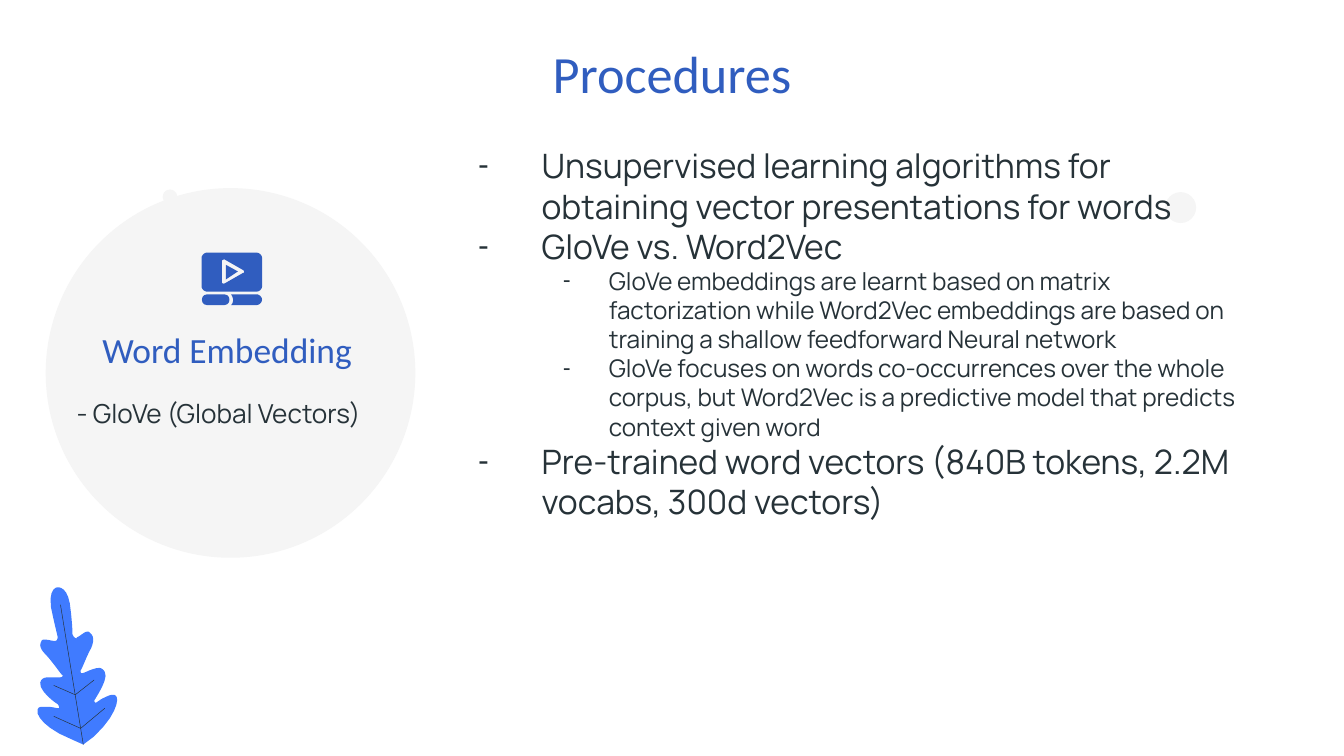
from lxml.etree import SubElement
from pptx import Presentation
from pptx.dml.color import RGBColor
from pptx.enum.shapes import MSO_CONNECTOR, MSO_SHAPE
from pptx.enum.text import MSO_ANCHOR, MSO_AUTO_SIZE, PP_ALIGN
from pptx.oxml.ns import qn
from pptx.util import Inches, Pt

THEME = {
    "heading_font": "Calibri", "body_font": "Manrope", "bullet_font": "Calibri",
    "blue": "305DBF", "leaf": "407BFF", "dark": "263238", "pale": "F5F5F5",
    "title": 28, "heading": 19, "large": 18, "note": 14, "small": 13, "vein": 0.25,
}

TITLE = "Procedures"
HEADING = "Word Embedding"
NOTE = "- GloVe (Global Vectors)"
POINTS = [
    (0, "Unsupervised learning algorithms for obtaining vector presentations for words"),
    (0, "GloVe vs. Word2Vec"),
    (1, "GloVe embeddings are learnt based on matrix factorization while Word2Vec "
        "embeddings are based on training a shallow feedforward Neural network"),
    (1, "GloVe focuses on words co-occurrences over the whole corpus, but Word2Vec "
        "is a predictive model that predicts context given word"),
    (0, "Pre-trained word vectors (840B tokens, 2.2M vocabs, 300d vectors)"),
]
LEVELS = [  # size, left margin, first-line indent
    (THEME["large"], 0.5, -0.47),
    (THEME["small"], 1, -0.34),
]

# left, top, diameter
CIRCLES = [(0.34, 1.4, 2.75), (8.67, 1.43, 0.23), (1.21, 1.41, 0.11)]

# A contour is a start point, then lines (x, y) and curves (x1, y1, x2, y2, x, y).
PROGRESS_DONE = [(1.54, 2.19), (1.49, 2.19, 1.49, 2.27, 1.54, 2.27), (1.67, 2.27),
                 (1.72, 2.27, 1.72, 2.19, 1.67, 2.19)]
PROGRESS_LEFT = [(1.72, 2.19), (1.74, 2.22, 1.74, 2.25, 1.72, 2.27), (1.91, 2.27),
                 (1.93, 2.27, 1.95, 2.25, 1.95, 2.23), (1.95, 2.21, 1.93, 2.19, 1.91, 2.19)]
PLAY = [(1.68, 1.97), (1.68, 2.08), (1.77, 2.02)]
PLAY_HOLE = [(1.67, 1.93), (1.81, 2.01), (1.82, 2.02, 1.82, 2.03, 1.81, 2.03), (1.67, 2.11),
             (1.66, 2.11, 1.65, 2.11, 1.65, 2.1), (1.65, 1.94),
             (1.65, 1.94, 1.66, 1.93, 1.67, 1.93)]
SCREEN = [(1.54, 1.88), (1.52, 1.88, 1.5, 1.9, 1.5, 1.92), (1.5, 2.13),
          (1.5, 2.15, 1.52, 2.17, 1.54, 2.17), (1.91, 2.17),
          (1.93, 2.17, 1.95, 2.15, 1.95, 2.13), (1.95, 1.92),
          (1.95, 1.9, 1.93, 1.88, 1.91, 1.88)]
LEAF = [
    (0.43, 4.37), (0.45, 4.37, 0.5, 4.38, 0.52, 4.49), (0.54, 4.64, 0.54, 4.72, 0.54, 4.72),
    (0.54, 4.72, 0.55, 4.75, 0.57, 4.75), (0.57, 4.75, 0.57, 4.74, 0.58, 4.74),
    (0.6, 4.73, 0.63, 4.7, 0.65, 4.7), (0.66, 4.7, 0.66, 4.7, 0.67, 4.71),
    (0.7, 4.73, 0.7, 4.77, 0.68, 4.82), (0.65, 4.87, 0.61, 4.98, 0.6, 4.99),
    (0.6, 5, 0.6, 5.01, 0.61, 5.01), (0.63, 5.01, 0.69, 4.97, 0.74, 4.97),
    (0.75, 4.97, 0.77, 4.98, 0.78, 5), (0.81, 5.05, 0.72, 5.18, 0.71, 5.2),
    (0.7, 5.21, 0.7, 5.22, 0.71, 5.23), (0.72, 5.23, 0.75, 5.2, 0.78, 5.19),
    (0.8, 5.18, 0.82, 5.17, 0.84, 5.17), (0.85, 5.17, 0.86, 5.17, 0.87, 5.19),
    (0.88, 5.22, 0.86, 5.33, 0.7, 5.48), (0.62, 5.54), (0.53, 5.5),
    (0.33, 5.42, 0.27, 5.32, 0.28, 5.29), (0.28, 5.26, 0.3, 5.26, 0.32, 5.26),
    (0.33, 5.26, 0.35, 5.26, 0.36, 5.26), (0.39, 5.26, 0.42, 5.27, 0.43, 5.27),
    (0.44, 5.27, 0.44, 5.27, 0.44, 5.27), (0.44, 5.26, 0.44, 5.25, 0.43, 5.24),
    (0.41, 5.23, 0.29, 5.14, 0.3, 5.08), (0.31, 5.04, 0.34, 5.04, 0.38, 5.04),
    (0.41, 5.04, 0.44, 5.04, 0.45, 5.04), (0.47, 5.04, 0.47, 5.02, 0.46, 5.02),
    (0.45, 5.01, 0.38, 4.91, 0.34, 4.87), (0.3, 4.83, 0.29, 4.8, 0.31, 4.77),
    (0.31, 4.76, 0.32, 4.76, 0.34, 4.76), (0.36, 4.76, 0.39, 4.77, 0.41, 4.77),
    (0.43, 4.77, 0.43, 4.74, 0.43, 4.74), (0.43, 4.74, 0.41, 4.66, 0.38, 4.52),
    (0.36, 4.37, 0.43, 4.37, 0.43, 4.37),
]
VEINS = [  # from, to
    ((0.45, 4.5), (0.62, 5.54)),
    ((0.7, 5.06), (0.56, 5.17)), ((0.4, 5.1), (0.56, 5.17)),
    ((0.78, 5.27), (0.6, 5.42)), ((0.4, 5.33), (0.6, 5.42)),
]
CURVE_STEPS = 6


def paint(shape, color):
    shape.shadow.inherit = False
    shape.fill.solid()
    shape.fill.fore_color.rgb = RGBColor.from_string(color)
    shape.line.fill.background()


def add_circle(shapes, left, top, diameter):
    circle = shapes.add_shape(MSO_SHAPE.OVAL, *map(Inches, (left, top, diameter, diameter)))
    paint(circle, THEME["pale"])
    return circle


def flatten(contour):
    """Turn lines and Bézier curves into a list of points in EMU."""
    points = [contour[0]]
    for segment in contour[1:]:
        if len(segment) == 2:
            points.append(segment)
            continue
        start, first, second, end = points[-1], segment[:2], segment[2:4], segment[4:]
        for step in range(1, CURVE_STEPS + 1):
            t = step / CURVE_STEPS
            u = 1 - t
            points.append(tuple(
                u**3 * a + 3 * u * u * t * b + 3 * u * t * t * c + t**3 * d
                for a, b, c, d in zip(start, first, second, end)))
    return [(Inches(x), Inches(y)) for x, y in points]


def add_outline(shapes, color, *contours):
    outlines = [flatten(contour) for contour in contours]
    builder = shapes.build_freeform(*outlines[0][0], scale=1.0)
    for number, points in enumerate(outlines):
        if number:
            builder.move_to(*points[0])
        builder.add_line_segments(points[1:], close=True)
    paint(builder.convert_to_shape(), color)


def add_vein(shapes, start, end):
    vein = shapes.add_connector(MSO_CONNECTOR.STRAIGHT, *map(Inches, start + end))
    vein.line.color.rgb = RGBColor.from_string(THEME["dark"])
    vein.line.width = Pt(THEME["vein"])
    SubElement(vein._element.spPr, qn("a:effectLst"))


def place(placeholder, left, top, width, height):
    placeholder.left, placeholder.top = Inches(left), Inches(top)
    placeholder.width, placeholder.height = Inches(width), Inches(height)
    frame = placeholder.text_frame
    frame.word_wrap = True
    frame.auto_size = MSO_AUTO_SIZE.NONE
    frame.vertical_anchor = MSO_ANCHOR.TOP
    frame.margin_left = frame.margin_right = Inches(0.1)
    frame.margin_top = frame.margin_bottom = Inches(0.1)
    return frame


def write(paragraph, text, *, size, font=THEME["body_font"], color=THEME["dark"],
          align=PP_ALIGN.LEFT, level=0, margin=0, indent=0, bullet=None):
    run = paragraph.add_run()
    run.text = text
    run.font.name = font
    run.font.size = Pt(size)
    run.font.bold = False
    run.font.color.rgb = RGBColor.from_string(color)
    paragraph.alignment = align
    paragraph.level = level
    paragraph.space_before = paragraph.space_after = Pt(0)
    paragraph.line_spacing = 1.0
    properties = paragraph._p.get_or_add_pPr()
    properties.set("marL", str(Inches(margin)))
    properties.set("indent", str(Inches(indent)))
    if bullet:
        bullet_color = SubElement(properties, qn("a:buClr"))
        SubElement(bullet_color, qn("a:srgbClr"), val=color)
        SubElement(properties, qn("a:buFont"), typeface=THEME["bullet_font"])
        SubElement(properties, qn("a:buChar"), char=bullet)
    else:
        SubElement(properties, qn("a:buNone"))


def main():
    presentation = Presentation()
    presentation.slide_width = Inches(10)
    presentation.slide_height = presentation.slide_width * 9 // 16
    slide = presentation.slides.add_slide(presentation.slide_layouts.get_by_name("Comparison"))
    shapes = slide.shapes
    title, heading, note, spare, points = slide.placeholders
    spare._element.getparent().remove(spare._element)

    heading_style = {"font": THEME["heading_font"], "color": THEME["blue"],
                     "align": PP_ALIGN.CENTER}
    write(place(title, 0.34, 0.21, 9.32, 0.63).paragraphs[0], TITLE,
          size=THEME["title"], **heading_style)
    write(place(heading, 0.34, 2.34, 2.7, 0.52).paragraphs[0], HEADING,
          size=THEME["heading"], **heading_style)
    write(place(note, 0.47, 2.86, 2.49, 1.37).paragraphs[0], NOTE, size=THEME["note"])

    frame = place(points, 3.43, 0.98, 5.9, 3.99)
    for number, (level, text) in enumerate(POINTS):
        paragraph = frame.add_paragraph() if number else frame.paragraphs[0]
        size, margin, indent = LEVELS[level]
        write(paragraph, text, size=size, level=level, margin=margin, indent=indent, bullet="-")

    for circle in CIRCLES:
        shapes._spTree.insert(2, add_circle(shapes, *circle)._element)  # behind the text

    icon = shapes.add_group_shape().shapes
    for contours in ([PROGRESS_DONE], [PROGRESS_LEFT], [PLAY_HOLE, SCREEN], [PLAY]):
        add_outline(icon, THEME["blue"], *contours)

    leaf = shapes.add_group_shape().shapes
    add_outline(leaf, THEME["leaf"], LEAF)
    for start, end in VEINS:
        add_vein(leaf, start, end)

    presentation.save("out.pptx")


if __name__ == "__main__":
    main()
